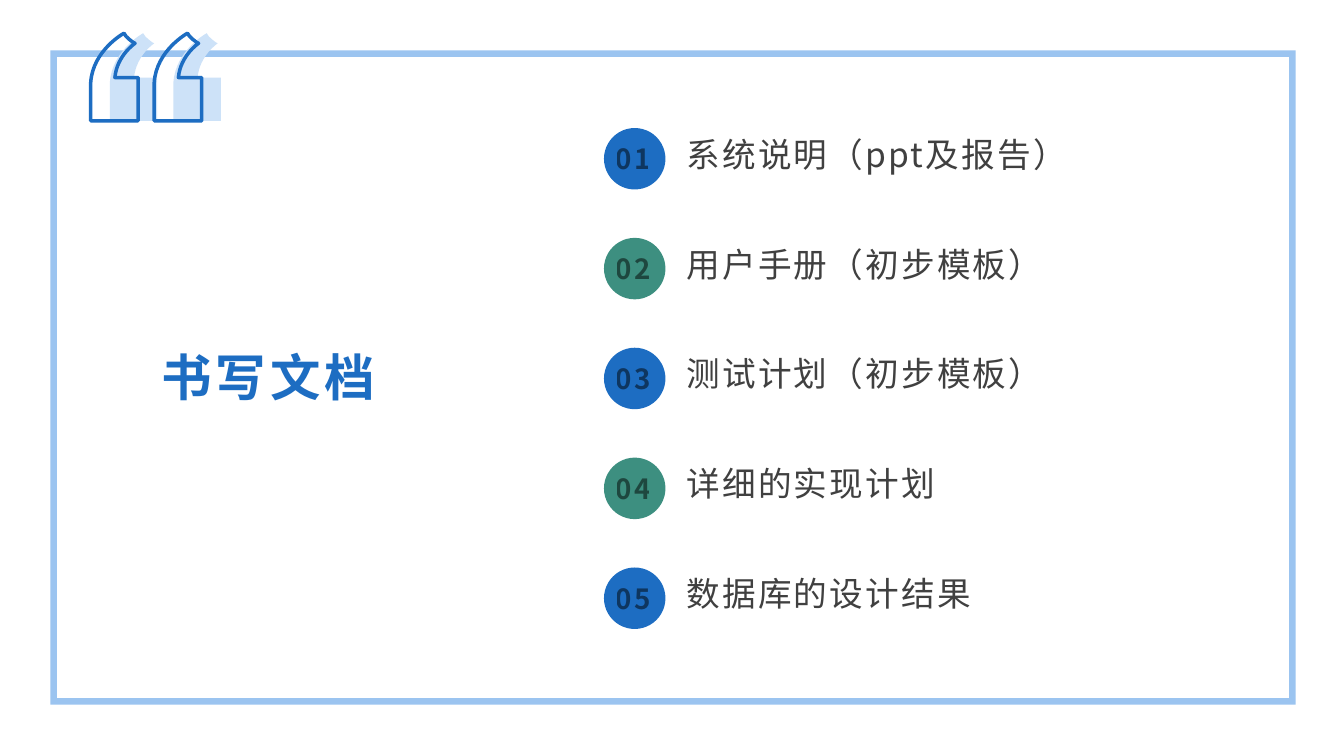
from lxml import etree
from pptx import Presentation
from pptx.dml.color import RGBColor
from pptx.enum.shapes import MSO_SHAPE
from pptx.enum.text import MSO_ANCHOR
from pptx.oxml.ns import qn
from pptx.util import Inches, Pt

FRAME = MSO_SHAPE.FRAME
OVAL = MSO_SHAPE.OVAL
MIDDLE = MSO_ANCHOR.MIDDLE
FONT = "Noto Sans CJK SC"
COLORS = {
    "frame": "9BC4F0",
    "pale": "CDE2F8",
    "blue": "1D6DC2",
    "green": "3D8F80",
    "text": "404040",
    "number": "000000",
}
TOPICS = [
    "系统说明（ppt及报告）",
    "用户手册（初步模板）",
    "测试计划（初步模板）",
    "详细的实现计划",
    "数据库的设计结果",
]
FIRST_TOP = 1.27
ROW_STEP = 1.09
BADGE_SIZE = 0.61
MARK_TOP = 0.33
MARK_STEP = 0.63
MARK_TIP = (0.33, 0)
MARK_SEGMENTS = [
    [(0.35, 0.03)],
    [(0.37, 0.05), (0.39, 0.07), (0.42, 0.09)],
    [(0.44, 0.1)],
    [(0.44, 0.1), (0.26, 0.22), (0.24, 0.44)],
    [(0.47, 0.44)],
    [(0.47, 0.87)],
    [(0, 0.87)],
    [(0, 0.49)],
    [(0.02, 0.17), MARK_TIP, MARK_TIP],
]


def rgb(name):
    return RGBColor.from_string(COLORS[name])


def bend_segments(marks):
    sides = list(marks._element.iter(qn("a:lnTo")))
    for index, side in enumerate(sides):
        mark, position = divmod(index, len(MARK_SEGMENTS))
        controls = MARK_SEGMENTS[position][:-1]
        if not controls:
            continue
        side.tag = qn("a:cubicBezTo")
        for order, (x, y) in enumerate(controls):
            point = etree.Element(qn("a:pt"))
            point.set("x", str(Inches(mark * MARK_STEP + x)))
            point.set("y", str(Inches(y)))
            side.insert(order, point)


def add_quote_marks(slide, left, fill=None, line=None):
    builder = None
    for mark in range(2):
        corners = [MARK_TIP] + [segment[-1] for segment in MARK_SEGMENTS]
        points = [
            (Inches(left + mark * MARK_STEP + x), Inches(MARK_TOP + y))
            for x, y in corners
        ]
        if builder is None:
            builder = slide.shapes.build_freeform(*points[0])
        else:
            builder.move_to(*points[0])
        builder.add_line_segments(points[1:], close=True)
    marks = builder.convert_to_shape()
    bend_segments(marks)
    paint(marks, fill, line)


def paint(shape, fill=None, line=None):
    shape.shadow.inherit = False
    if fill:
        shape.fill.solid()
        shape.fill.fore_color.rgb = rgb(fill)
    else:
        shape.fill.background()
    if line:
        shape.line.color.rgb = rgb(line)
        shape.line.width = Pt(2.5)
    else:
        shape.line.fill.background()


def add_preset(slide, preset, left, top, width, height, fill):
    shape = slide.shapes.add_shape(
        preset, Inches(left), Inches(top), Inches(width), Inches(height)
    )
    paint(shape, fill)
    return shape


def add_label(slide, text, box, size, color, spacing, bold=False,
              space_after=0, line_spacing=1.0, alpha=None):
    label = slide.shapes.add_textbox(*(Inches(value) for value in box))
    frame = label.text_frame
    frame.word_wrap = True
    frame.vertical_anchor = MIDDLE
    frame.text = text
    paragraph = frame.paragraphs[0]
    paragraph.space_after = Pt(space_after)
    paragraph.line_spacing = line_spacing
    run = paragraph.runs[0]
    run.font.name = FONT
    run.font.size = Pt(size)
    run.font.bold = bold
    run.font.color.rgb = rgb(color)
    properties = run.font._element
    properties.set("spc", str(round(spacing * 100)))
    etree.SubElement(properties, qn("a:ea")).set("typeface", FONT)
    if alpha:
        tint = properties.find(".//" + qn("a:srgbClr"))
        etree.SubElement(tint, qn("a:alpha")).set("val", str(alpha * 1000))


def add_topic(slide, index, topic):
    top = FIRST_TOP + index * ROW_STEP
    fill = "green" if index % 2 else "blue"
    add_preset(slide, OVAL, 5.99, top, BADGE_SIZE, BADGE_SIZE, fill)
    add_label(slide, topic, (6.71, top + 0.02, 4.97, 0.52), 24, "text", 1.6,
              space_after=8, line_spacing=0.9)
    add_label(slide, f"{index + 1:02d}", (6.01, top, BADGE_SIZE, BADGE_SIZE),
              19.8, "number", 1.4, bold=True, space_after=8, alpha=50)


def main():
    deck = Presentation()
    deck.slide_width = Inches(13.33)
    deck.slide_height = Inches(7.5)
    slide = deck.slides.add_slide(deck.slide_layouts[6])
    border = add_preset(slide, FRAME, 0.5, 0.5, 12.35, 6.49, "frame")
    border.adjustments[0] = 0.01
    add_quote_marks(slide, 1.09, fill="pale")
    add_quote_marks(slide, 0.9, line="blue")
    add_label(slide, "书写文档", (1.5, 2.98, 3, 1.5), 36, "blue", 3, bold=True)
    for index, topic in enumerate(TOPICS):
        add_topic(slide, index, topic)
    deck.save("out.pptx")


if __name__ == "__main__":
    main()
